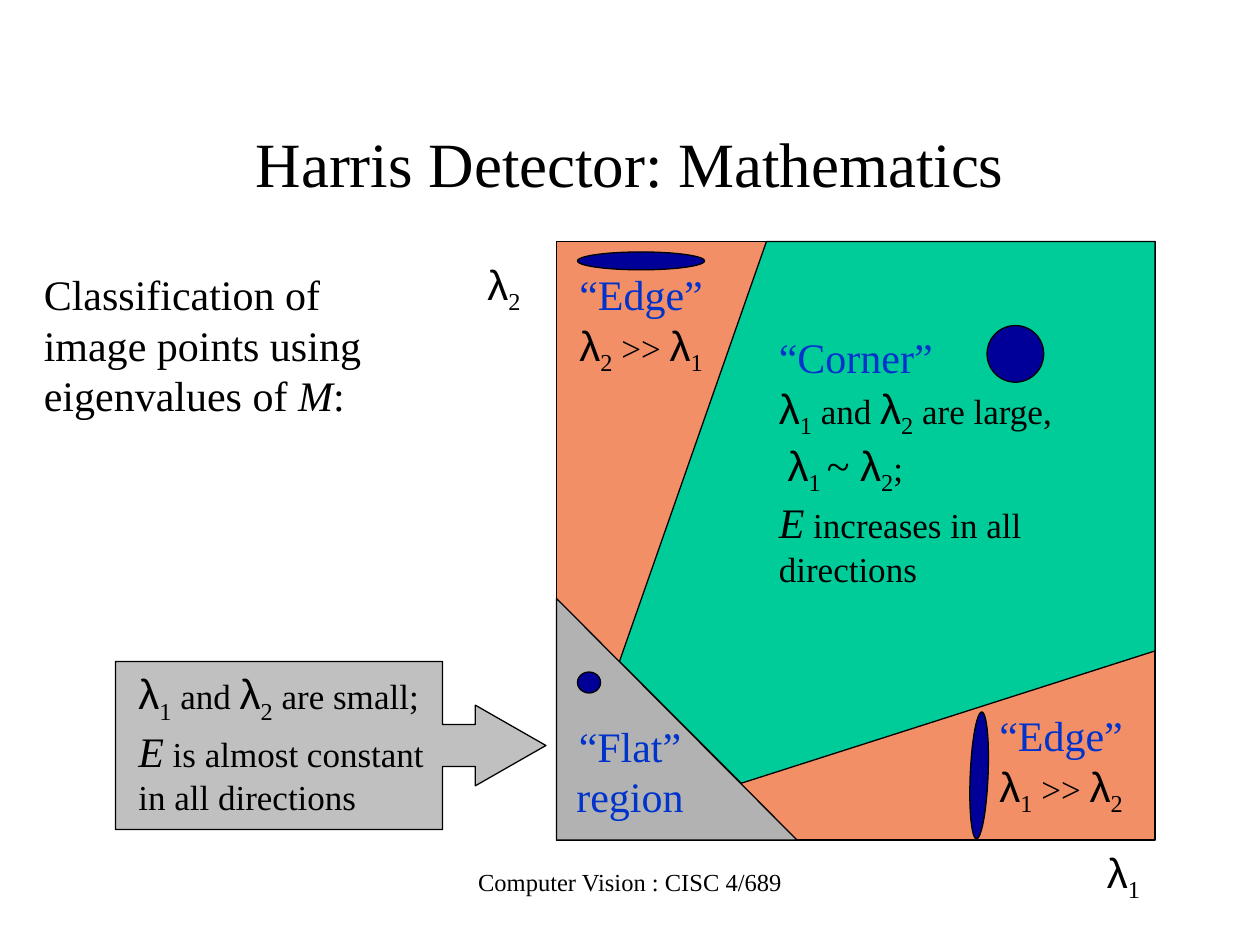
from pptx import Presentation
from pptx.dml.color import RGBColor
from pptx.enum.shapes import MSO_SHAPE
from pptx.enum.text import MSO_ANCHOR, MSO_AUTO_SIZE, PP_ALIGN
from pptx.util import Emu, Inches, Pt

PX = Inches(1) // 120  # 120 px to the inch

BLACK, BLUE, NAVY = "000000", "0033CC", "000099"
ORANGE, GREEN, GRAY, SILVER = "F38F67", "00CC99", "B2B2B2", "C0C0C0"
SERIF, SANS = "Times New Roman", "Arial"

# style: font, size, colour, italic, baseline shift in 1/1000 %
STYLES = {
    "title": (SERIF, 36, BLACK, False, 0),
    "footer": (SERIF, 14, BLACK, False, 0),
    "heading": (SERIF, 24, BLUE, False, 0),
    "lead": (SERIF, 24, BLACK, False, 0),
    "body": (SERIF, 20, BLACK, False, 0),
    "variable": (SERIF, 24, BLACK, True, 0),
    "greek": (SANS, 24, BLACK, False, 0),
    "index": (SERIF, 24, BLACK, False, -25000),
}

LAMBDA_1 = [("λ", "greek"), ("1", "index")]
LAMBDA_2 = [("λ", "greek"), ("2", "index")]


def body(text):
    return [(text, "body")]


def energy(text):
    return [("E", "variable"), (text, "body")]


EDGE = [("“Edge”", "heading")]

# left, top, width, height, lines of runs
LEFT_TEXTS = [
    (30, 250, 350, 156, [[("Classification of image points using eigenvalues of ", "lead"),
                          ("M", "variable"), (":", "lead")]]),
    (120, 630, 310, 155, [LAMBDA_1 + body(" and ") + LAMBDA_2 + body(" are small;"),
                          energy(" is almost constant in all directions")]),
    (540, 250, 170, 115, [EDGE, LAMBDA_2 + body(" >> ") + LAMBDA_1]),
    (940, 670, 170, 115, [EDGE, LAMBDA_1 + body(" >> ") + LAMBDA_2]),
    (730, 310, 350, 258, [[("“Corner”", "heading")],
                          LAMBDA_1 + body(" and ") + LAMBDA_2 + body(" are large,"),
                          body(" ") + LAMBDA_1 + [(" ", "index"), ("~ ", "lead")]
                          + LAMBDA_2 + body(";"),
                          energy(" increases in all directions")]),
]
CENTERED_TEXTS = [
    (410, 240, 140, 67, [LAMBDA_2]),
    (1020, 800, 100, 67, [LAMBDA_1]),
    (520, 680, 160, 108, [[("“Flat” region", "heading")]]),
    (410, 820, 380, 60, [[("Computer Vision : CISC 4/689", "footer")]]),
]
TITLE = (90, 80, 1020, 150, [[("Harris Detector: Mathematics", "title")]])

PLOT = (530, 230, 570, 570)
CORNER_REGION = [(590, 630), (730, 230), (1100, 230), (1100, 620), (706, 746)]
FLAT_REGION = (530, 570, 229, 230)
CALLOUT = (110, 630, 410, 160)
CALLOUT_ADJUSTMENTS = (0.25, 0.24, 0.42, 0.76)
# left, top, width, height, rotation
ELLIPSES = [
    (550, 640, 22, 20, 0),
    (550, 240, 121, 17, 0),
    (940, 310, 54, 54, 0),
    (872, 730, 121, 17, 92.4),
]


def px(*values):
    return [Emu(value * PX) for value in values]


def color(hex_string):
    return RGBColor.from_string(hex_string)


def paint(shape, fill):
    shape.shadow.inherit = False
    shape.fill.solid()
    shape.fill.fore_color.rgb = color(fill)
    shape.line.color.rgb = color(BLACK)
    shape.line.width = Pt(0.75)
    return shape


def add_filled(slide, kind, box, fill):
    return paint(slide.shapes.add_shape(kind, *px(*box)), fill)


def add_text(slide, left, top, width, height, lines, align=PP_ALIGN.LEFT):
    frame = slide.shapes.add_textbox(*px(left, top, width, height)).text_frame
    frame.word_wrap = True
    frame.auto_size = MSO_AUTO_SIZE.NONE
    paragraph = frame.paragraphs[0]
    paragraph.alignment = align
    for number, line in enumerate(lines):
        if number:
            paragraph.add_line_break()
        for text, style in line:
            add_run(paragraph, text, *STYLES[style])
    return frame


def add_run(paragraph, text, typeface, size, fill, italic, baseline):
    run = paragraph.add_run()
    run.text = text
    run.font.name = typeface
    run.font.size = Pt(size)
    run.font.italic = italic
    run.font.color.rgb = color(fill)
    if baseline:
        run._r.get_or_add_rPr().set("baseline", str(baseline))


def main():
    deck = Presentation()
    deck.slide_width, deck.slide_height = px(1200, 900)
    slide = deck.slides.add_slide(deck.slide_layouts[6])

    callout = add_filled(slide, MSO_SHAPE.RIGHT_ARROW_CALLOUT, CALLOUT, SILVER)
    for index, value in enumerate(CALLOUT_ADJUSTMENTS):
        callout.adjustments[index] = value

    add_filled(slide, MSO_SHAPE.RECTANGLE, PLOT, ORANGE)
    outline = slide.shapes.build_freeform(*CORNER_REGION[0], scale=PX)
    outline.add_line_segments(CORNER_REGION[1:], close=True)
    paint(outline.convert_to_shape(), GREEN)
    add_filled(slide, MSO_SHAPE.RIGHT_TRIANGLE, FLAT_REGION, GRAY)

    title = add_text(slide, *TITLE, align=PP_ALIGN.CENTER)
    title.vertical_anchor = MSO_ANCHOR.MIDDLE
    for text in LEFT_TEXTS:
        add_text(slide, *text)
    for text in CENTERED_TEXTS:
        add_text(slide, *text, align=PP_ALIGN.CENTER)

    for *box, rotation in ELLIPSES:
        add_filled(slide, MSO_SHAPE.OVAL, box, NAVY).rotation = rotation

    deck.save("out.pptx")


if __name__ == "__main__":
    main()
